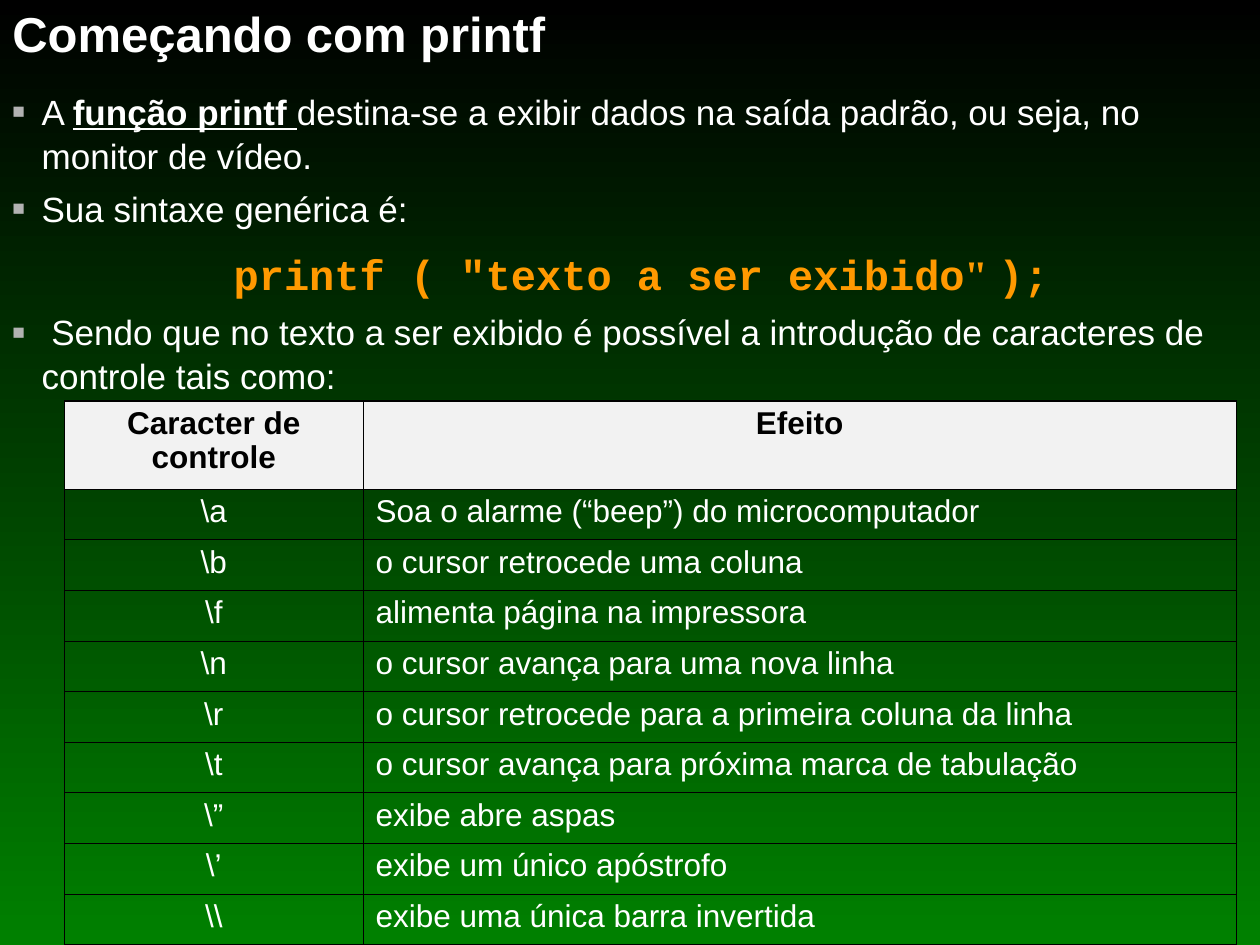
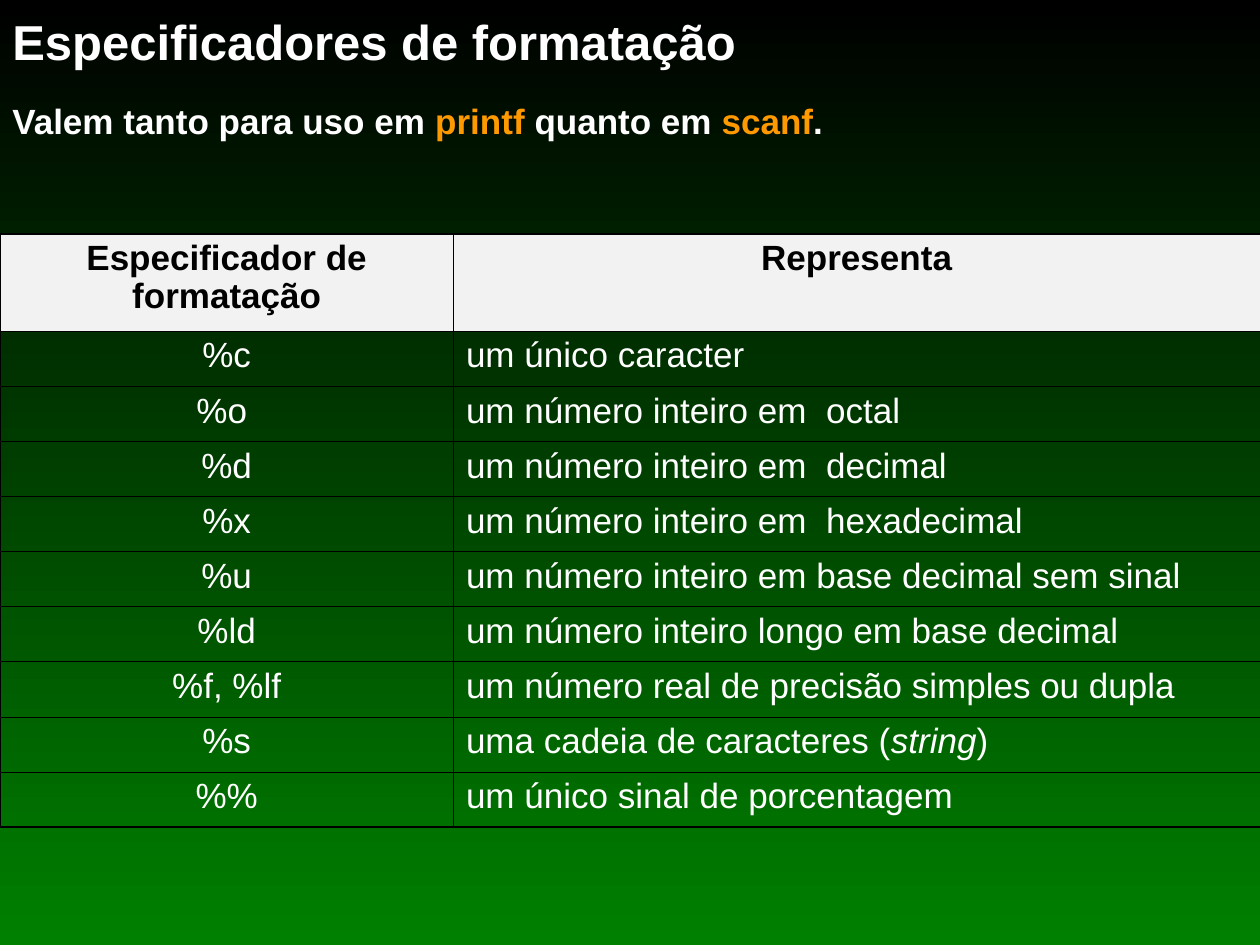
from dataclasses import dataclass
from typing import NamedTuple

from lxml.etree import SubElement
from pptx import Presentation
from pptx.dml.color import RGBColor
from pptx.enum.text import MSO_ANCHOR as Anchor, PP_ALIGN as Align
from pptx.oxml.ns import qn
from pptx.util import Cm, Pt


@dataclass(frozen=True)
class Theme:
    """Colours, fonts and type sizes shared by the slides."""
    bg_top: str = "000000"
    bg_bottom: str = "008000"
    text: str = "FFFFFF"
    accent: str = "FF9900"
    bullet: str = "B2B2B2"
    head_fill: str = "F2F2F2"
    head_text: str = "000000"
    border: str = "000000"
    font: str = "Arial"
    code_font: str = "Courier New"
    quote_font: str = "Times New Roman"
    title: int = 28
    body: int = 20
    code: int = 24
    small: int = 18
    body_spacing: float = 1.05
    cell_spacing: float = 0.97
    thin: float = 0.34
    medium: float = 0.45
    thick: float = 0.96


THEME = Theme()


class Box(NamedTuple):
    """Left, top, width and height in centimetres."""
    left: float
    top: float
    width: float
    height: float


class Run(NamedTuple):
    """A piece of text with its own format."""
    text: str
    bold: bool = False
    underline: bool = False
    italic: bool = False
    color: str = THEME.text
    font: str = THEME.font


class Grid(NamedTuple):
    """A two-column table with a header row; lengths in centimetres."""
    left: float
    top: float
    columns: tuple[float, float]
    head_height: float
    row_height: float
    size: int
    head: tuple[str, str]
    rows: list[tuple[str, str | list[Run]]]


def write(p, text: str | list[Run], *, size: int, spacing: float = 1.0,
          align: Align = Align.LEFT, **style) -> None:
    """Fill a paragraph with one text or several runs."""
    p.alignment = align
    p.line_spacing = spacing
    for run in [Run(text, **style)] if isinstance(text, str) else text:
        r = p.add_run()
        r.text = run.text
        r.font.size = Pt(size)
        r.font.name = run.font
        r.font.bold = run.bold
        r.font.italic = run.italic
        r.font.underline = run.underline
        r.font.color.rgb = RGBColor.from_string(run.color)


def add_text(s, box: Box, text: str | list[Run], *, anchor: Anchor = Anchor.TOP,
             bottom_inset: float = 0.13, indent: float = 0, bullet: bool = False,
             **style):
    """Add a wrapping text box with a single paragraph."""
    tf = s.shapes.add_textbox(*map(Cm, box)).text_frame
    tf.word_wrap = True
    tf.vertical_anchor = anchor
    tf.margin_bottom = Cm(bottom_inset)
    p = tf.paragraphs[0]
    pPr = p._p.get_or_add_pPr()
    pPr.set("marL", str(Cm(indent)))
    if bullet:
        pPr.set("indent", str(-Cm(indent)))
        color = SubElement(pPr, qn("a:buClr"))
        SubElement(color, qn("a:srgbClr"), val=THEME.bullet)
        SubElement(pPr, qn("a:buSzPct"), val="60000")
        SubElement(pPr, qn("a:buFont"), typeface=THEME.font)
        SubElement(pPr, qn("a:buChar"), char="■")
    write(p, text, **style)


def add_title(s, box: Box, text: str, bottom_inset: float = 0.13) -> None:
    """Add the slide title."""
    add_text(s, box, text, anchor=Anchor.MIDDLE, bottom_inset=bottom_inset,
             size=THEME.title, bold=True)


def add_bullet(s, box: Box, text: str | list[Run]) -> None:
    """Add a bulleted statement."""
    add_text(s, box, text, indent=0.59, bullet=True, size=THEME.body,
             spacing=THEME.body_spacing)


def set_borders(cell, top: float, bottom: float) -> None:
    """Draw the four cell borders, with thin sides."""
    tcPr = cell._tc.get_or_add_tcPr()
    widths = {"L": THEME.thin, "R": THEME.thin, "T": top, "B": bottom}
    for side, width in widths.items():
        line = SubElement(tcPr, qn(f"a:ln{side}"), w=str(Pt(width)))
        fill = SubElement(line, qn("a:solidFill"))
        SubElement(fill, qn("a:srgbClr"), val=THEME.border)


def add_grid(s, grid: Grid) -> None:
    """Add the table of codes and their meanings."""
    rows = [grid.head, *grid.rows]
    heights = [grid.head_height] + [grid.row_height] * len(grid.rows)
    box = Box(grid.left, grid.top, sum(grid.columns), sum(heights))
    table = s.shapes.add_table(len(rows), 2, *map(Cm, box)).table
    table.first_row = table.horz_banding = False
    for column, width in zip(table.columns, grid.columns):
        column.width = Cm(width)
    edges = [THEME.thick, THEME.medium, *[THEME.thin] * (len(rows) - 2), THEME.thick]
    for i, (texts, height) in enumerate(zip(rows, heights)):
        table.rows[i].height = Cm(height)
        is_head = i == 0
        for j, text in enumerate(texts):
            cell = table.cell(i, j)
            set_borders(cell, edges[i], edges[i + 1])
            if is_head:
                cell.fill.solid()
                cell.fill.fore_color.rgb = RGBColor.from_string(THEME.head_fill)
            else:
                cell.fill.background()
            write(cell.text_frame.paragraphs[0], text, size=grid.size,
                  spacing=THEME.cell_spacing, bold=is_head,
                  align=Align.CENTER if is_head or j == 0 else Align.JUSTIFY,
                  color=THEME.head_text if is_head else THEME.text)


def set_background(prs) -> None:
    """Give the master its vertical gradient."""
    fill = prs.slide_master.background.fill
    fill.gradient()
    fill.gradient_angle = 270
    for stop, color in zip(fill.gradient_stops, (THEME.bg_top, THEME.bg_bottom)):
        stop.color.rgb = RGBColor.from_string(color)


CONTROL_CHARACTERS = Grid(
    1.3, 8.08, (6.02, 17.6), 1.78, 1.02, THEME.small,
    ("Caracter de controle", "Efeito"),
    [
        (r"\a", "Soa o alarme (“beep”) do microcomputador"),
        (r"\b", "o cursor retrocede uma coluna"),
        (r"\f", "alimenta página na impressora"),
        (r"\n", "o cursor avança para uma nova linha"),
        (r"\r", "o cursor retrocede para a primeira coluna da linha"),
        (r"\t", "o cursor avança para próxima marca de tabulação"),
        (r"\”", "exibe abre aspas"),
        (r"\’", "exibe um único apóstrofo"),
        ("\\\\", "exibe uma única barra invertida"),
    ],
)

FORMAT_SPECIFIERS = Grid(
    0, 4.72, (9.14, 16.26), 1.96, 1.11, THEME.body,
    ("Especificador de formatação", "Representa"),
    [
        ("%c", "um único caracter"),
        ("%o ", "um número inteiro em  octal"),
        ("%d", "um número inteiro em  decimal"),
        ("%x", "um número inteiro em  hexadecimal"),
        ("%u", "um número inteiro em base decimal sem sinal"),
        ("%ld", "um número inteiro longo em base decimal"),
        ("%f, %lf", "um número real de precisão simples ou dupla"),
        ("%s", [Run("uma cadeia de caracteres ("), Run("string", italic=True),
                Run(")")]),
        ("%%", "um único sinal de porcentagem"),
    ],
)


def build_printf_slide(s) -> None:
    """Introduce printf and its control characters."""
    add_title(s, Box(0, -0.48, 19.5, 3.53), "Começando com printf", bottom_inset=1.37)
    add_bullet(s, Box(0, 1.65, 25.4, 1.96), [
        Run("A "),
        Run("função printf ", bold=True, underline=True),
        Run("destina-se a exibir dados na saída padrão, ou seja, no monitor de vídeo."),
    ])
    add_bullet(s, Box(0, 3.61, 25.4, 1.12), "Sua sintaxe genérica é:")
    code = Run("", bold=True, color=THEME.accent, font=THEME.code_font)
    add_text(s, Box(3.5, 4.83, 21.2, 1.32), [
        code._replace(text='printf ( "texto a ser exibido'),
        code._replace(text='" ', font=THEME.quote_font),
        code._replace(text=");"),
    ], indent=0.96, size=THEME.code, spacing=THEME.body_spacing)
    add_bullet(s, Box(0, 6.1, 25.4, 1.96),
               " Sendo que no texto a ser exibido é possível a introdução de "
               "caracteres de controle tais como:")
    add_grid(s, CONTROL_CHARACTERS)


def build_specifiers_slide(s) -> None:
    """List the format specifiers."""
    add_title(s, Box(0, 0.13, 25.4, 1.4), "Especificadores de formatação")
    add_grid(s, FORMAT_SPECIFIERS)
    add_text(s, Box(0, 1.73, 25.4, 1.4), [
        Run("Valem tanto para uso em", bold=True),
        Run(" printf", bold=True, color=THEME.accent),
        Run(" quanto em ", bold=True),
        Run("scanf", bold=True, color=THEME.accent),
        Run(".", bold=True),
    ], anchor=Anchor.MIDDLE, size=THEME.body)


def main() -> None:
    """Build and save the presentation."""
    prs = Presentation()
    prs.slide_width, prs.slide_height = Cm(25.4), Cm(19.05)
    set_background(prs)
    for build in (build_printf_slide, build_specifiers_slide):
        build(prs.slides.add_slide(prs.slide_layouts[6]))
    prs.save("out.pptx")


if __name__ == "__main__":
    main()
